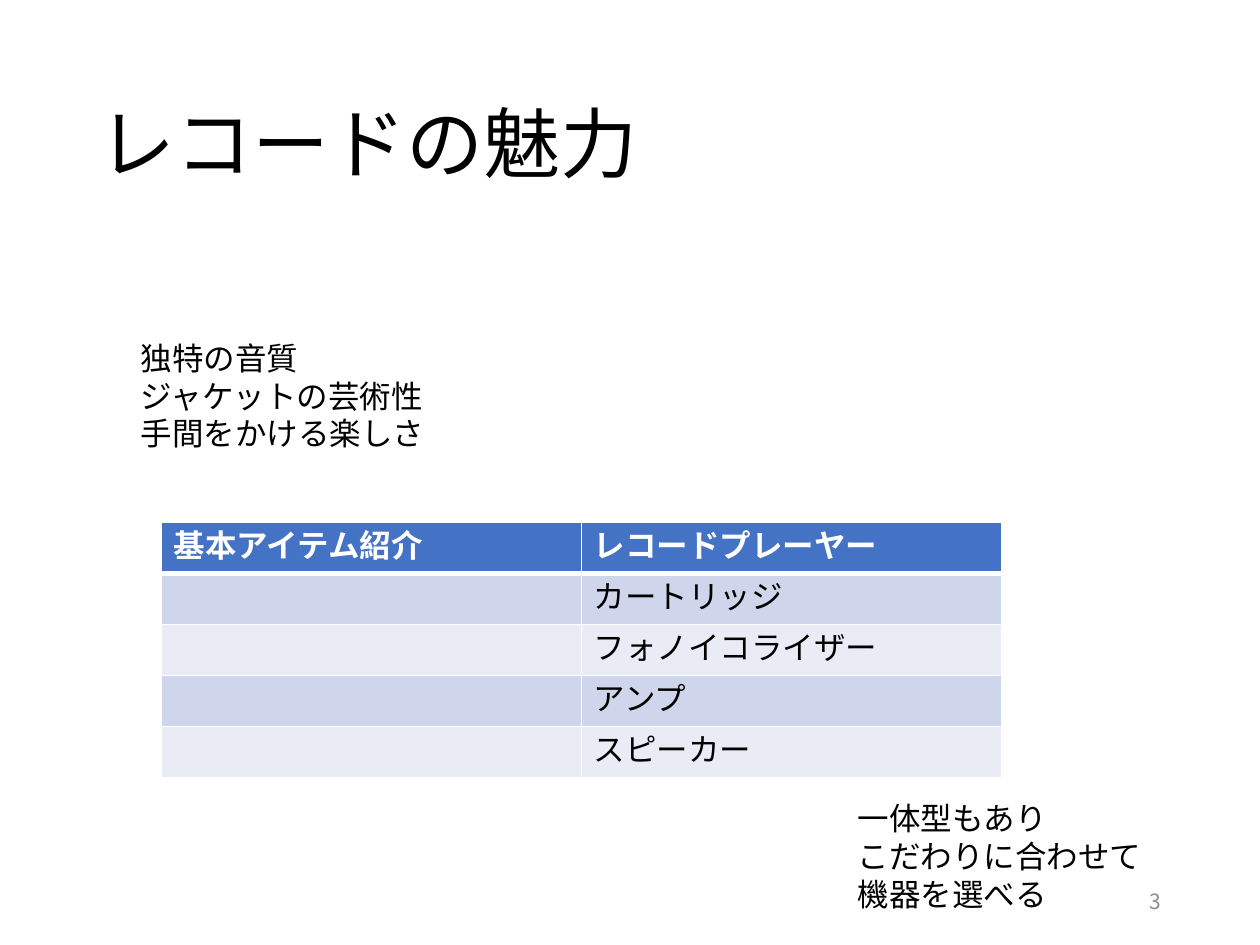
from lxml import etree
from pptx import Presentation
from pptx.dml.color import RGBColor
from pptx.enum.text import MSO_ANCHOR, PP_ALIGN
from pptx.oxml.ns import qn
from pptx.util import Pt

TOP, MIDDLE = MSO_ANCHOR.TOP, MSO_ANCHOR.MIDDLE
LEFT, RIGHT = PP_ALIGN.LEFT, PP_ALIGN.RIGHT
FONT = "Noto Sans CJK JP"
BLACK = RGBColor(0x00, 0x00, 0x00)
WHITE = RGBColor(0xFF, 0xFF, 0xFF)
GRAY = RGBColor(0x8C, 0x8C, 0x8C)
HEADER = RGBColor(0x44, 0x72, 0xC4)
BANDS = (RGBColor(0xE9, 0xEB, 0xF5), RGBColor(0xCF, 0xD5, 0xEA))

TITLE = "レコードの魅力"
CHARMS = ["独特の音質", "ジャケットの芸術性", "手間をかける楽しさ"]
ITEMS = [
    ("基本アイテム紹介", "レコードプレーヤー"),
    ("", "カートリッジ"),
    ("", "フォノイコライザー"),
    ("", "アンプ"),
    ("", "スピーカー"),
]
ADVICE = ["一体型もあり", "こだわりに合わせて", "機器を選べる"]


def write(tf, lines, size=18, color=BLACK, bold=False, align=LEFT):
    """Fill a text frame with one paragraph per line."""
    for i, line in enumerate(lines):
        p = tf.paragraphs[0] if i == 0 else tf.add_paragraph()
        p.alignment = align
        p.line_spacing = Pt(round(size * 1.2, 1))
        r = p.add_run()
        r.text = line
        r.font.size = Pt(size)
        r.font.bold = bold
        r.font.name = FONT
        r.font.color.rgb = color
        ea = etree.SubElement(r.font._element, qn("a:ea"))
        ea.set("typeface", FONT)


def add_text(s, box, lines, anchor=TOP, wrap=True, **fmt):
    """Place a text box in the given box."""
    tf = s.shapes.add_textbox(*map(Pt, box)).text_frame
    tf.word_wrap = wrap
    tf.vertical_anchor = anchor
    write(tf, lines, **fmt)


def set_borders(cell, bottom):
    """Draw white cell borders, with the given bottom width."""
    tc_pr = cell._tc.get_or_add_tcPr()
    widths = {"lnL": 1, "lnR": 1, "lnT": 1, "lnB": bottom}
    for i, (tag, width) in enumerate(widths.items()):
        ln = etree.Element(qn(f"a:{tag}"), w=str(Pt(width)))
        fill = etree.SubElement(ln, qn("a:solidFill"))
        etree.SubElement(fill, qn("a:srgbClr"), val=str(WHITE))
        tc_pr.insert(i, ln)


def add_items(s, box, rows):
    """Place the banded item table in the given box."""
    table = s.shapes.add_table(len(rows), len(rows[0]), *map(Pt, box)).table
    for i, row in enumerate(rows):
        head = i == 0
        for j, text in enumerate(row):
            cell = table.cell(i, j)
            cell.fill.solid()
            cell.fill.fore_color.rgb = HEADER if head else BANDS[i % 2]
            set_borders(cell, 3 if i < 1 else 1)
            if text:
                write(cell.text_frame, [text], bold=head,
                      color=WHITE if head else BLACK)


def main():
    """Build and save the slide."""
    prs = Presentation()
    prs.slide_width, prs.slide_height = Pt(720), Pt(540)
    s = prs.slides.add_slide(prs.slide_layouts[6])
    add_text(s, (49.5, 28.75, 621, 104.4), [TITLE], anchor=MIDDLE, size=44)
    add_text(s, (73.4, 190, 177.8, 72.7), CHARMS, wrap=False)
    add_items(s, (92.2, 298.4, 480, 146), ITEMS)
    add_text(s, (483.1, 453, 177.8, 72.7), ADVICE, wrap=False)
    add_text(s, (508.5, 500.5, 162, 28.75), ["3"], anchor=MIDDLE,
             size=12, color=GRAY, align=RIGHT)
    prs.save("out.pptx")


if __name__ == "__main__":
    main()
